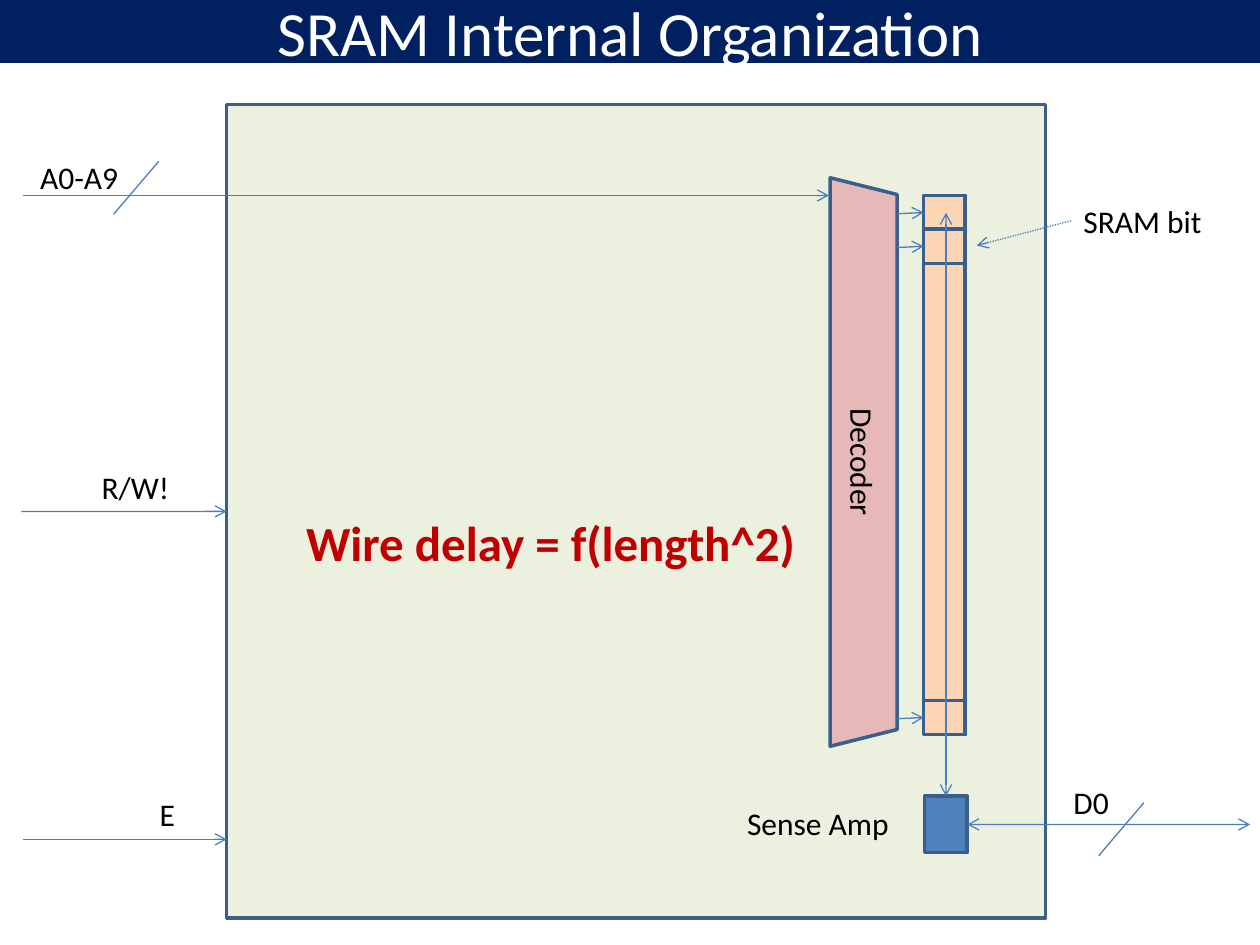
from typing import NamedTuple, Optional

from pptx import Presentation, util as u
from pptx.dml.color import RGBColor
from pptx.enum import dml, shapes, text
from pptx.oxml.ns import qn
from lxml import etree

Cm, Pt = u.Cm, u.Pt
FORM = shapes.MSO_SHAPE
MID = text.MSO_ANCHOR.MIDDLE
TOP, LEFT, RIGHT = 0, 1, 3
FONT = "Calibri"
NAVY, EDGE, WIRE, BLUE = "002060", "3A5F8C", "4B7EBC", "4F81BD"
GREEN, PEACH, PINK = "EBF1DE", "FCD5B5", "E6B9B8"
BLACK, WHITE, RED = "000000", "FFFFFF", "C00000"


class Box(NamedTuple):
    """Place and size in centimetres."""
    x: float
    y: float
    w: float
    h: float


class Label(NamedTuple):
    words: str
    box: Box
    size: int = 18
    color: str = BLACK
    bold: bool = False


class Joint(NamedTuple):
    """A shape and the number of its connection site."""
    shape: object
    site: int


class Wire(NamedTuple):
    x1: float
    y1: float
    x2: float
    y2: float
    head: bool = False
    tail: bool = True
    dotted: bool = False
    start: Optional[Joint] = None
    end: Optional[Joint] = None


def rgb(code: str) -> RGBColor:
    return RGBColor.from_string(code)


def write(frame, words: str, size: int, color: str, bold: bool = False,
          align=text.PP_ALIGN.LEFT) -> None:
    para = frame.paragraphs[0]
    para.alignment = align
    run = para.add_run()
    run.text = words
    font = run.font
    font.name, font.size, font.bold = FONT, Pt(size), bold
    font.color.rgb = rgb(color)


def block(slide, box: Box, fill: str, form=FORM.RECTANGLE, edge: bool = True):
    shape = slide.shapes.add_shape(form, *map(Cm, box))
    shape.shadow.inherit = False
    shape.fill.solid()
    shape.fill.fore_color.rgb = rgb(fill)
    if edge:
        shape.line.color.rgb = rgb(EDGE)
        shape.line.width = Pt(2)
    else:
        shape.line.fill.background()
    return shape


def caption(shape, words: str, size: int, color: str) -> None:
    """Centre words inside a shape."""
    frame = shape.text_frame
    frame.vertical_anchor = MID
    write(frame, words, size, color, align=text.PP_ALIGN.CENTER)


def tag(slide, label: Label) -> None:
    frame = slide.shapes.add_textbox(*map(Cm, label.box)).text_frame
    frame.word_wrap = False
    write(frame, label.words, label.size, label.color, label.bold)


def link(slide, wire: Wire) -> None:
    line = slide.shapes.add_connector(
        shapes.MSO_CONNECTOR.STRAIGHT, *map(Cm, wire[:4]))
    if wire.start:
        line.begin_connect(*wire.start)
    if wire.end:
        line.end_connect(*wire.end)
    line.line.color.rgb = rgb(WIRE)
    line.line.width = Pt(0.75)
    if wire.dotted:
        line.line.dash_style = dml.MSO_LINE.ROUND_DOT
    props = line.line._get_or_add_ln()
    for name, shown in (("a:headEnd", wire.head), ("a:tailEnd", wire.tail)):
        if shown:
            etree.SubElement(props, qn(name), type="arrow")
    etree.SubElement(line._element.spPr, qn("a:effectLst"))


def slash(slide, x: float, y: float) -> None:
    """Mark a wire as a bus."""
    link(slide, Wire(x, y, x - 0.91, y + 1.07, tail=False))


def main() -> None:
    deck = Presentation()
    deck.slide_width, deck.slide_height = Cm(25.4), Cm(19.05)
    slide = deck.slides.add_slide(deck.slide_layouts[6])

    title = block(slide, Box(0, 0, 25.4, 1.27), NAVY, edge=False)
    caption(title, "SRAM Internal Organization", 36, WHITE)
    chip = block(slide, Box(4.57, 2.11, 16.51, 16.4), GREEN)

    block(slide, Box(18.62, 3.94, 0.84, 10.87), PEACH)
    tops = (3.94, 4.62, 14.12)
    bits = [block(slide, Box(18.62, y, 0.84, 0.69), PEACH) for y in tops]
    amp = block(slide, Box(18.64, 16.05, 0.86, 1.14), BLUE)
    decoder = block(slide, Box(11.68, 8.64, 11.46, 1.35), PINK, FORM.TRAPEZOID)
    decoder.rotation = 90
    caption(decoder, "Decoder", 18, BLACK)

    wires = [
        Wire(0.46, 3.94, 16.71, 3.94),
        Wire(0.43, 10.31, 4.57, 10.31, end=Joint(chip, LEFT)),
        Wire(0.46, 16.92, 4.57, 16.92),
        Wire(19.5, 16.62, 25.2, 16.62, head=True, start=Joint(amp, RIGHT)),
        Wire(19.07, 4.29, 19.07, 16.05, head=True, end=Joint(amp, TOP)),
        Wire(21.59, 4.45, 19.69, 4.95, dotted=True),
    ]
    wires += [Wire(18.08, y + 0.37, 18.62, y + 0.34, end=Joint(bit, LEFT))
              for y, bit in zip(tops, bits)]
    for wire in wires:
        link(slide, wire)
    slash(slide, 3.2, 3.25)
    slash(slide, 23.06, 16.18)

    for label in (
        Label("A0-A9", Box(0.56, 3.07, 2.26, 1.02)),
        Label("R/W!", Box(1.8, 9.32, 2.74, 1.02)),
        Label("E", Box(2.97, 15.9, 1.78, 1.02)),
        Label("D0", Box(21.39, 15.67, 1.52, 1.02)),
        Label("Sense Amp", Box(14.81, 16.08, 3.4, 1.02)),
        Label("SRAM bit", Box(21.59, 3.94, 2.92, 1.02)),
        Label("Wire delay = f(length^2)", Box(5.92, 10.21, 10.49, 1.45),
              28, RED, True),
    ):
        tag(slide, label)
    deck.save("out.pptx")


if __name__ == "__main__":
    main()
